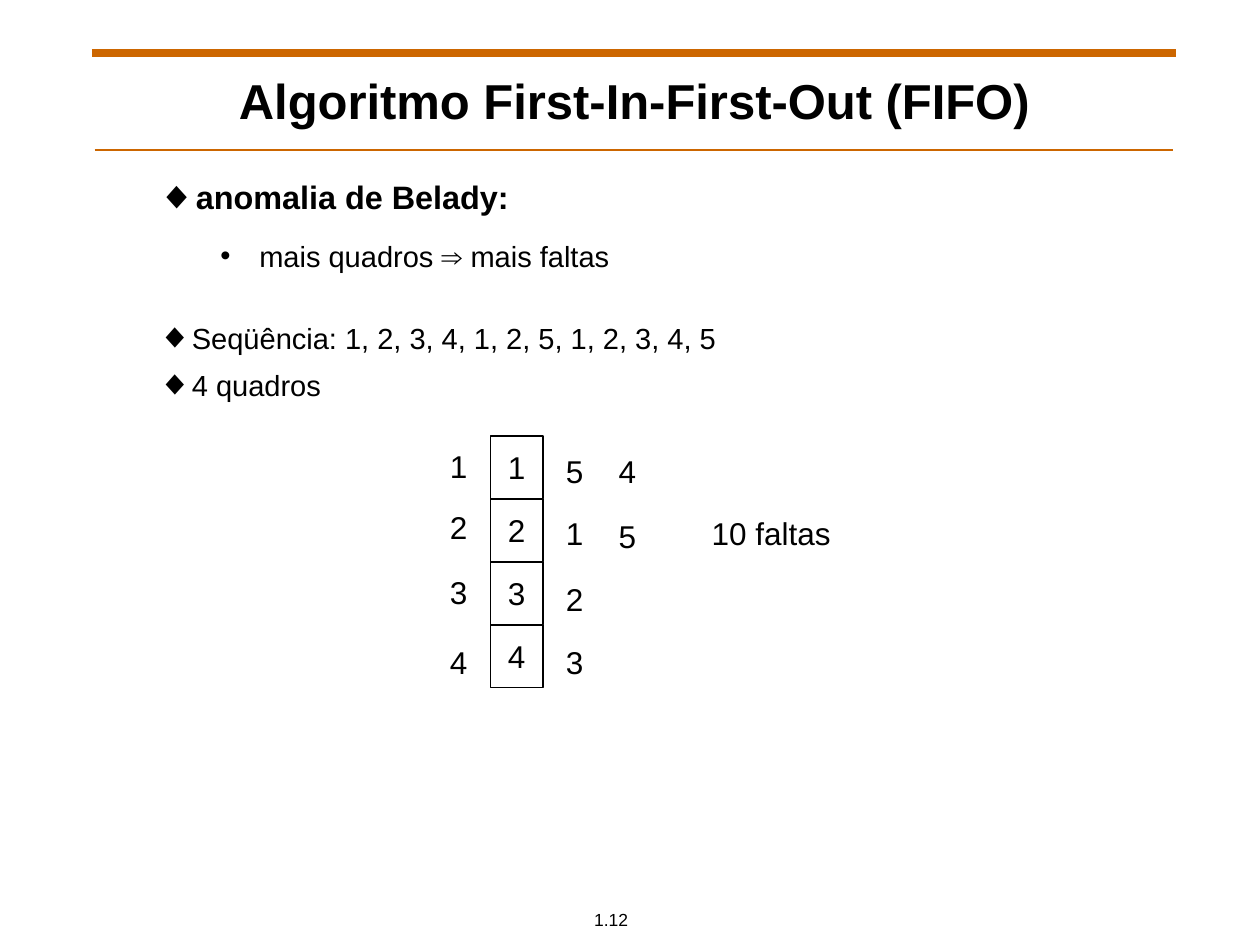
import pptx
import pptx.dml.color
import pptx.enum.shapes
import pptx.enum.text
import pptx.oxml.ns
import pptx.util
from lxml import etree
from pptx.util import Inches

BLACK = pptx.dml.color.RGBColor(0x00, 0x00, 0x00)
WHITE = pptx.dml.color.RGBColor(0xFF, 0xFF, 0xFF)
ORANGE = pptx.dml.color.RGBColor(0xCC, 0x66, 0x00)
FONT = "Arial"

FRAMES = ["1", "2", "3", "4"]
# Each column: left offset, then (page, top offset) pairs, from the frame stack
PAGE_COLUMNS = [
    (-0.42, [("1", 0.04), ("2", 0.52), ("3", 1.04), ("4", 1.59)]),
    (0.5, [("5", 0.08), ("1", 0.57), ("2", 1.09), ("3", 1.59)]),
    (0.92, [("4", 0.08), ("5", 0.59)]),
]
# Text, size, bold, bullet, bullet size %, margin, indent, space before
BULLETS = [
    ("anomalia de Belady:", 18.5, True, "◆", 120, 0.25, -0.25, 0),
    ("mais quadros ⇒ mais faltas", 16.6, False, "•", 100, 0.81, -0.31, 16.3),
    ("Seqüência: 1, 2, 3, 4, 1, 2, 5, 1, 2, 3, 4, 5", 16.6, False, "◆", 120, 0.25, -0.25, 31),
    ("4 quadros", 16.6, False, "◆", 120, 0.25, -0.25, 11.2),
]


def write_text(paragraph, text, size=18, bold=False, color=BLACK,
               align=pptx.enum.text.PP_ALIGN.CENTER):
    paragraph.text = text
    paragraph.alignment = align
    font = paragraph.font
    font.name, font.size, font.bold = FONT, pptx.util.Pt(size), bold
    font.color.rgb = color


def add_text_box(slide, left, top, width, height, text, wrap=False, **text_format):
    shape = slide.shapes.add_textbox(Inches(left), Inches(top), Inches(width), Inches(height))
    frame = shape.text_frame
    frame.word_wrap = wrap
    frame.vertical_anchor = pptx.enum.text.MSO_ANCHOR.MIDDLE
    write_text(frame.paragraphs[0], text, **text_format)


def add_rule(slide, left, top, width, weight):
    connector = slide.shapes.add_connector(
        pptx.enum.shapes.MSO_CONNECTOR.STRAIGHT,
        Inches(left), Inches(top), Inches(left + width), Inches(top))
    connector.line.color.rgb = ORANGE
    connector.line.width = pptx.util.Pt(weight)
    etree.SubElement(connector._element.spPr, pptx.oxml.ns.qn("a:effectLst"))


def set_bullet(paragraph, character, percent, margin, indent):
    properties = paragraph._p.get_or_add_pPr()
    properties.set("marL", str(Inches(margin)))
    properties.set("indent", str(Inches(indent)))
    for tag, attribute, value in (("a:buSzPct", "val", str(percent * 1000)),
                                  ("a:buFont", "typeface", FONT),
                                  ("a:buChar", "char", character)):
        etree.SubElement(properties, pptx.oxml.ns.qn(tag)).set(attribute, value)


def add_header(slide, left, top, width):
    add_rule(slide, left, top, width, 4.5)
    add_rule(slide, left + 0.02, top + 0.77, width - 0.04, 0.75)
    add_text_box(slide, left + 0.54, top + 0.12, width - 1.07, 0.5,
                 "Algoritmo First-In-First-Out (FIFO)", wrap=True, size=28, bold=True)


def add_bullets(slide, left, top, width, height):
    shape = slide.shapes.add_textbox(Inches(left), Inches(top), Inches(width), Inches(height))
    frame = shape.text_frame
    frame.word_wrap = True
    for index, (text, size, bold, character, percent, margin, indent, space) in enumerate(BULLETS):
        paragraph = frame.add_paragraph() if index else frame.paragraphs[0]
        paragraph.line_spacing = 0.8
        paragraph.space_before = pptx.util.Pt(space)
        set_bullet(paragraph, character, percent, margin, indent)
        write_text(paragraph, text, size=size, bold=bold,
                   align=pptx.enum.text.PP_ALIGN.LEFT)


def add_frame_stack(slide, left, top, width, height):
    """Draw the memory frames, the pages loaded beside them and the fault count."""
    cell_height = height / len(FRAMES)
    for row, page in enumerate(FRAMES):
        cell = slide.shapes.add_shape(
            pptx.enum.shapes.MSO_SHAPE.RECTANGLE,
            Inches(left), Inches(top + row * cell_height), Inches(width), Inches(cell_height))
        cell.shadow.inherit = False
        cell.fill.solid()
        cell.fill.fore_color.rgb = WHITE
        cell.line.color.rgb = BLACK
        cell.line.width = pptx.util.Pt(0.75)
        cell.text_frame.word_wrap = False
        cell.text_frame.vertical_anchor = pptx.enum.text.MSO_ANCHOR.MIDDLE
        write_text(cell.text_frame.paragraphs[0], page)
    for column_left, pages in PAGE_COLUMNS:
        for page, page_top in pages:
            add_text_box(slide, left + column_left, top + page_top, 0.34, 0.4, page)
    add_text_box(slide, left + 1.63, top + 0.57, 1.2, 0.4, "10 faltas")


def main():
    presentation = pptx.Presentation()
    presentation.slide_width, presentation.slide_height = Inches(10), Inches(7.5)
    slide = presentation.slides.add_slide(presentation.slide_layouts[6])
    add_header(slide, 0.73, 0.42, 8.6)
    add_bullets(slide, 1.15, 1.42, 7.69, 4.5)
    add_frame_stack(slide, 3.89, 3.46, 0.42, 2)
    add_text_box(slide, 4.38, 7.16, 0.94, 0.27, "1.12", size=10)
    presentation.save("out.pptx")


if __name__ == "__main__":
    main()
